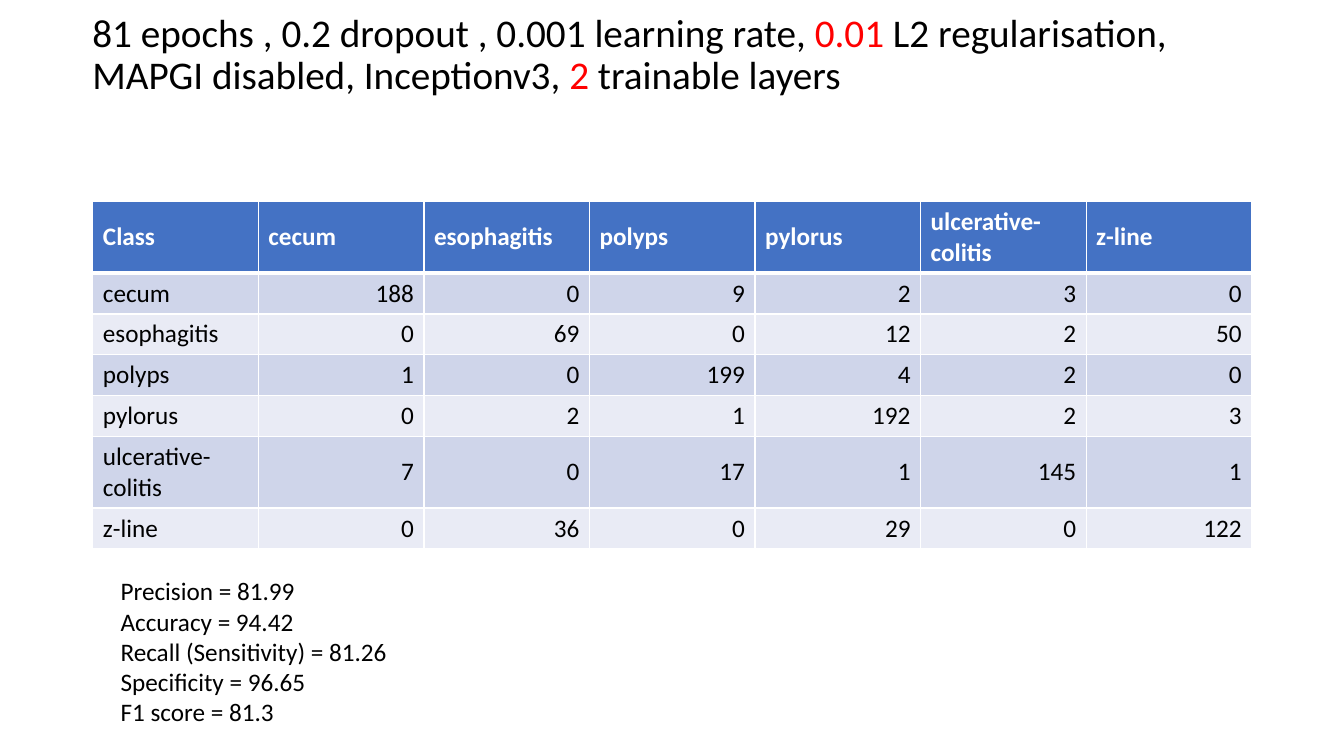
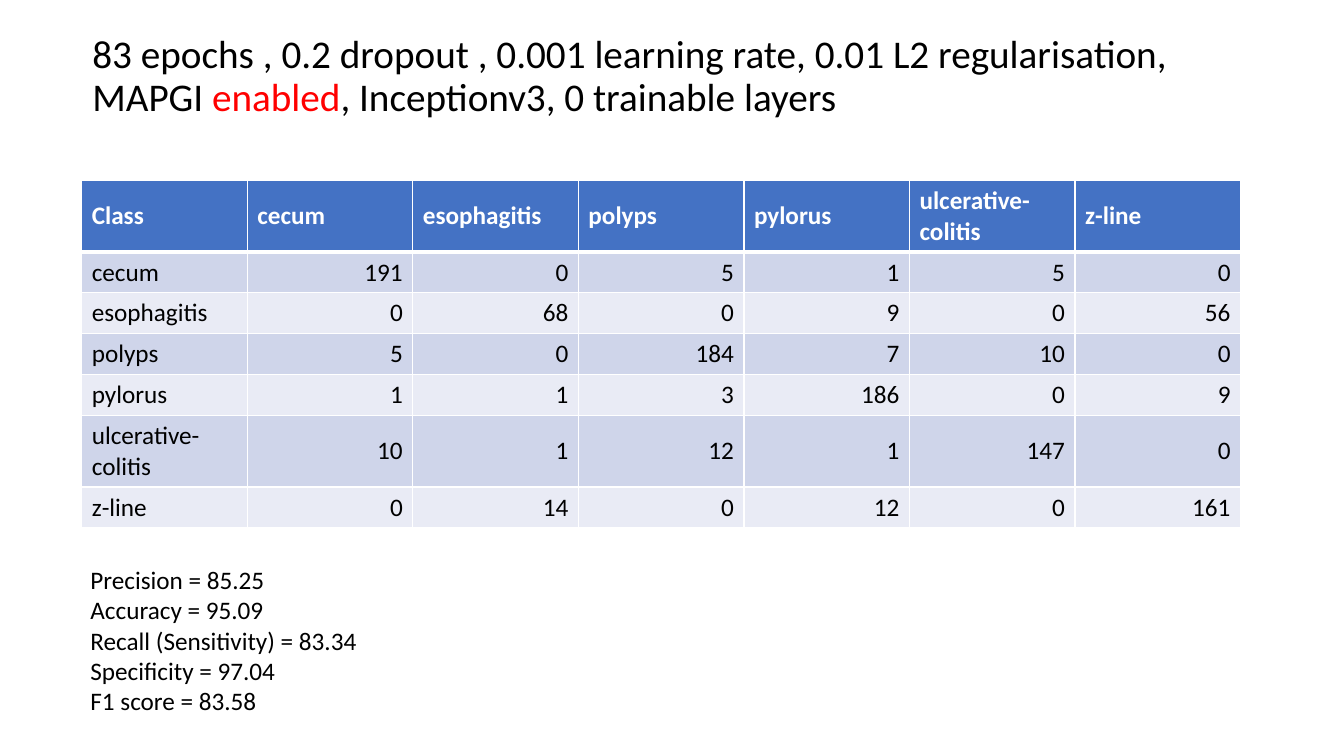
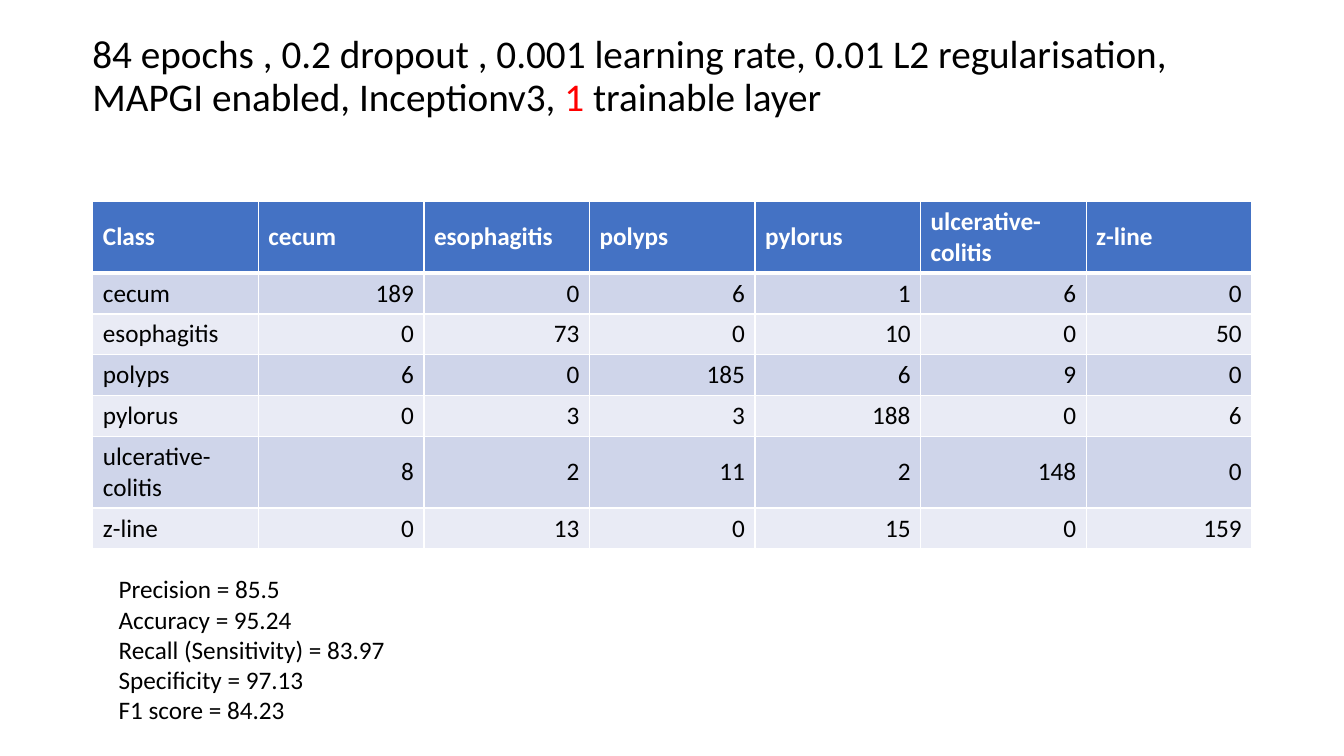
from pptx import Presentation
from pptx.dml.color import RGBColor
from pptx.enum.text import MSO_ANCHOR, MSO_AUTO_SIZE, PP_ALIGN
from pptx.oxml.ns import qn
from pptx.util import Cm, Pt
from lxml import etree

MIDDLE, TOP = MSO_ANCHOR.MIDDLE, MSO_ANCHOR.TOP
FIT = MSO_AUTO_SIZE.SHAPE_TO_FIT_TEXT
LEFT, RIGHT = PP_ALIGN.LEFT, PP_ALIGN.RIGHT

FONT = "Calibri"
BLACK, WHITE, RED = "000000", "FFFFFF", "FF0000"
HEAD, BANDS = "4472C4", ("CFD5EA", "E9EBF5")
WIDE = 29.21
LOW, HIGH = 1.03, 1.8

CLASSES = ["cecum", "esophagitis", "polyps", "pylorus",
           "ulcerative-colitis", "z-line"]
SCORES = ["Precision", "Accuracy", "Recall (Sensitivity)",
          "Specificity", "F1 score"]

# In a title, the parts between bars are red.
RUNS = [
    {
        "title": "81 epochs , 0.2 dropout , 0.001 learning rate, |0.01| L2 "
                 "regularisation, MAPGI disabled, Inceptionv3, |2| trainable layers",
        "top": 0.07,
        "grid": (2.34, 5.08),
        "counts": [
            [188, 0, 9, 2, 3, 0],
            [0, 69, 0, 12, 2, 50],
            [1, 0, 199, 4, 2, 0],
            [0, 2, 1, 192, 2, 3],
            [7, 0, 17, 1, 145, 1],
            [0, 36, 0, 29, 0, 122],
        ],
        "list": (2.79, 14.38),
        "scores": [81.99, 94.42, 81.26, 96.65, 81.3],
    },
    {
        "title": "83 epochs , 0.2 dropout , 0.001 learning rate, 0.01 L2 "
                 "regularisation, MAPGI |enabled|, Inceptionv3, 0 trainable layers",
        "top": 0.61,
        "grid": (2.06, 4.55),
        "counts": [
            [191, 0, 5, 1, 5, 0],
            [0, 68, 0, 9, 0, 56],
            [5, 0, 184, 7, 10, 0],
            [1, 1, 3, 186, 0, 9],
            [10, 1, 12, 1, 147, 0],
            [0, 14, 0, 12, 0, 161],
        ],
        "list": (2.03, 14.1),
        "scores": [85.25, 95.09, 83.34, 97.04, 83.58],
    },
    {
        "title": "84 epochs , 0.2 dropout , 0.001 learning rate, 0.01 L2 "
                 "regularisation, MAPGI enabled, Inceptionv3, |1 |trainable layer",
        "top": 0.61,
        "grid": (2.34, 5.08),
        "counts": [
            [189, 0, 6, 1, 6, 0],
            [0, 73, 0, 10, 0, 50],
            [6, 0, 185, 6, 9, 0],
            [0, 3, 3, 188, 0, 6],
            [8, 2, 11, 2, 148, 0],
            [0, 13, 0, 15, 0, 159],
        ],
        "list": (2.74, 14.33),
        "scores": [85.5, 95.24, 83.97, 97.13, 84.23],
    },
]


def paint(code):
    return RGBColor.from_string(code)


def style(run, size, color, bold=False):
    font = run.font
    font.name, font.size, font.bold = FONT, Pt(size), bold
    font.color.rgb = paint(color)


def edge(cell, side, width):
    """Give one side (L, R, T or B) of a cell a white line."""
    line = etree.SubElement(cell._tc.get_or_add_tcPr(), qn("a:ln" + side),
                            w=str(Pt(width)))
    fill = etree.SubElement(line, qn("a:solidFill"))
    etree.SubElement(fill, qn("a:srgbClr"), val=WHITE)


class Deck:
    def __init__(self):
        self.prs = Presentation()
        self.prs.slide_width, self.prs.slide_height = Cm(33.87), Cm(19.05)
        self.slide = None

    def page(self):
        self.slide = self.prs.slides.add_slide(self.prs.slide_layouts[6])

    def box(self, left, top, width, height, anchor):
        shape = self.slide.shapes.add_textbox(
            Cm(left), Cm(top), Cm(width), Cm(height))
        frame = shape.text_frame
        frame.word_wrap = True
        frame.vertical_anchor = anchor
        return frame

    def title(self, text, top):
        para = self.box(2.08, top, WIDE, 2.67, MIDDLE).paragraphs[0]
        para.line_spacing = 0.9
        for i, part in enumerate(text.split("|")):
            run = para.add_run()
            run.text = part
            style(run, 28, RED if i % 2 else BLACK)

    def cell(self, cell, text, row, col):
        cell.text_frame.text = str(text)
        cell.vertical_anchor = MIDDLE
        para = cell.text_frame.paragraphs[0]
        para.alignment = RIGHT if row and col else LEFT
        style(para.runs[0], 18, BLACK if row else WHITE, bold=row == 0)
        edge(cell, "L", 1)
        edge(cell, "R", 1)
        edge(cell, "T", 3 if row == 1 else 1)
        edge(cell, "B", 1 if row else 3)
        cell.fill.solid()
        cell.fill.fore_color.rgb = paint(BANDS[(row - 1) % 2] if row else HEAD)

    def matrix(self, left, top, counts):
        rows = [["Class"] + CLASSES]
        rows += [[name] + line for name, line in zip(CLASSES, counts)]
        tall = [HIGH if "ulcerative-colitis" in row else LOW for row in rows]
        table = self.slide.shapes.add_table(
            len(rows), len(rows[0]), Cm(left), Cm(top),
            Cm(WIDE), Cm(sum(tall))).table
        table.horz_banding = False
        for r, row in enumerate(rows):
            table.rows[r].height = Cm(tall[r])
            for c, text in enumerate(row):
                self.cell(table.cell(r, c), text, r, c)

    def scores(self, left, top, values):
        frame = self.box(left, top, 7.62, 4.14, TOP)
        frame.auto_size = FIT
        frame.text = "\n".join(
            f"{name} = {value}" for name, value in zip(SCORES, values))
        for para in frame.paragraphs:
            style(para.runs[0], 18, BLACK)


def main():
    deck = Deck()
    for run in RUNS:
        deck.page()
        deck.title(run["title"], run["top"])
        deck.matrix(*run["grid"], run["counts"])
        deck.scores(*run["list"], run["scores"])
    deck.prs.save("out.pptx")


if __name__ == "__main__":
    main()
